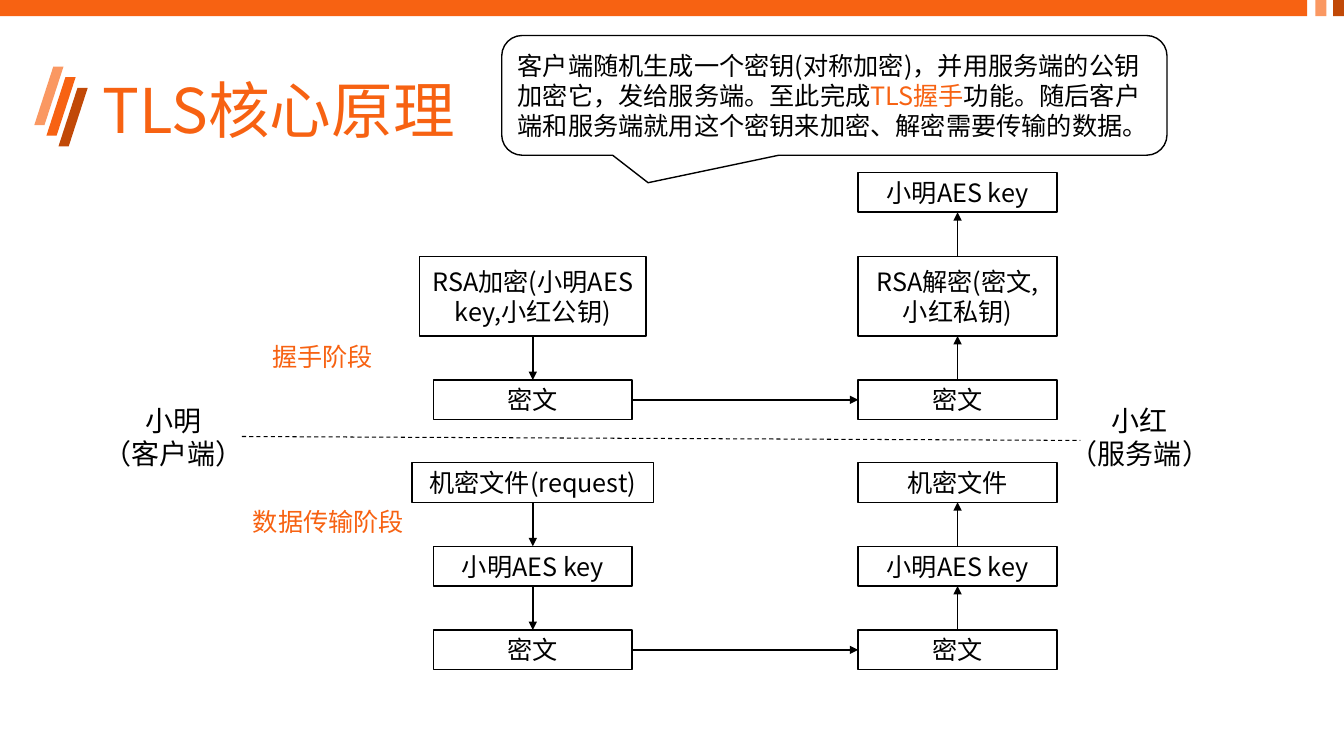
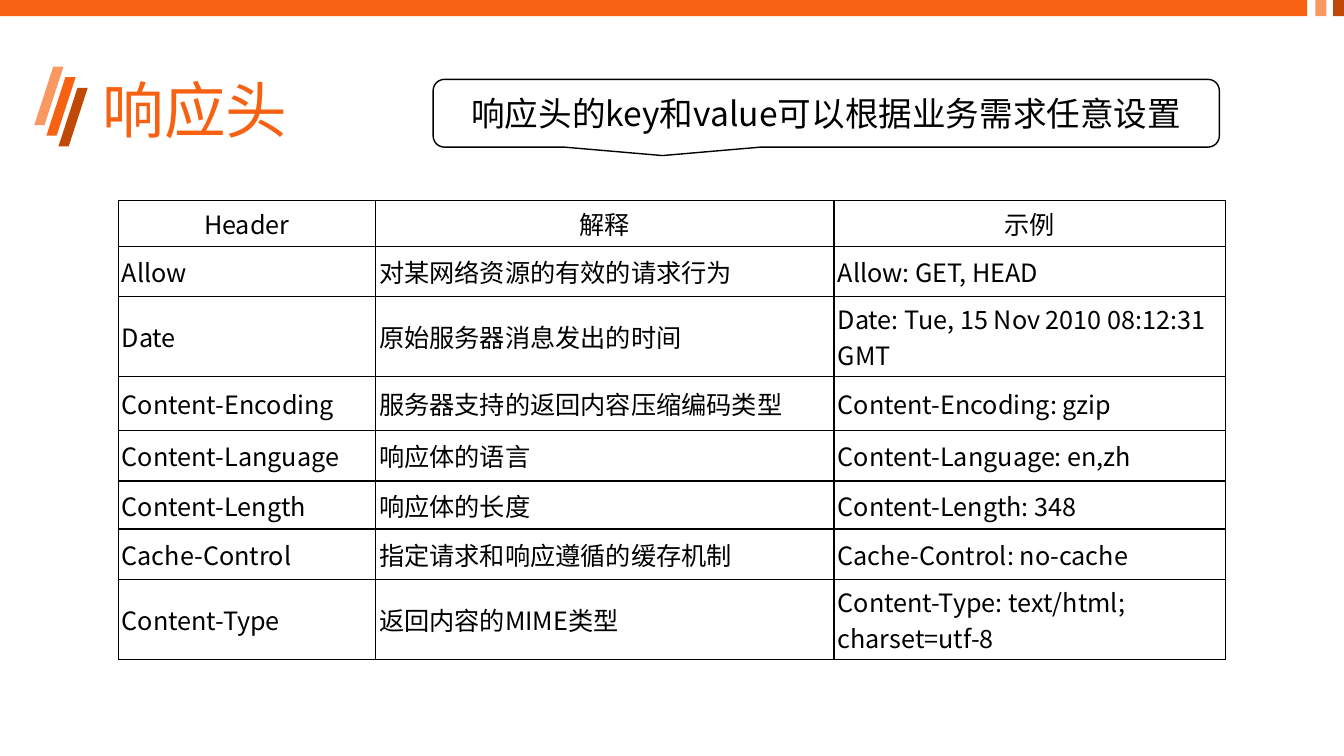
from dataclasses import dataclass
from typing import NamedTuple

from lxml.etree import SubElement
from pptx import Presentation
from pptx.dml.color import RGBColor
from pptx.enum.dml import MSO_LINE
from pptx.enum.shapes import MSO_CONNECTOR, MSO_SHAPE as SHAPE
from pptx.enum.text import MSO_ANCHOR as ANCHOR, PP_ALIGN as ALIGN
from pptx.oxml.ns import qn
from pptx.util import Pt


@dataclass(frozen=True)
class Theme:
    """Colours, font and type sizes of the deck."""
    orange: RGBColor = RGBColor(0xF7, 0x62, 0x12)
    light: RGBColor = RGBColor(0xFA, 0x98, 0x62)
    dark: RGBColor = RGBColor(0xC1, 0x49, 0x07)
    black: RGBColor = RGBColor(0, 0, 0)
    white: RGBColor = RGBColor(0xFF, 0xFF, 0xFF)
    font: str = "Noto Sans CJK SC"
    title: int = 44
    banner: int = 24
    actor: int = 20
    body: int = 18


class Area(NamedTuple):
    """A rectangle in points."""
    left: float
    top: float
    width: float
    height: float

    def lengths(self):
        """Return the four lengths for a python-pptx call."""
        return [Pt(value) for value in self]


THEME = Theme()
PAGE = Area(0, 0, 960, 540)
STEP_WIDTH, STEP_HEIGHT, STEP_GAP = 142, 28.4, 31.4

HEADERS = [
    ("Header", "解释", "示例"),
    ("Allow", "对某网络资源的有效的请求行为", "Allow: GET, HEAD"),
    ("Date", "原始服务器消息发出的时间", "Date: Tue, 15 Nov 2010 08:12:31 GMT"),
    ("Content-Encoding", "服务器支持的返回内容压缩编码类型", "Content-Encoding: gzip"),
    ("Content-Language", "响应体的语言", "Content-Language: en,zh"),
    ("Content-Length", "响应体的长度", "Content-Length: 348"),
    ("Cache-Control", "指定请求和响应遵循的缓存机制", "Cache-Control: no-cache"),
    ("Content-Type", "返回内容的MIME类型", "Content-Type: text/html; charset=utf-8"),
]


def style_text(frame, size, color=THEME.black, align=ALIGN.CENTER, spacing=1.0):
    """Format every run of a text frame."""
    for para in frame.paragraphs:
        para.alignment = align
        para.line_spacing = spacing
        for span in para.runs:
            span.font.size = Pt(size)
            span.font.color.rgb = color
            span.font.name = THEME.font
            SubElement(span._r.get_or_add_rPr(), qn("a:ea"), typeface=THEME.font)


def add_block(page, kind, area, fill=None, line=None):
    """Draw a preset shape with the given fill and outline."""
    block = page.shapes.add_shape(kind, *area.lengths())
    block.shadow.inherit = False
    if fill is None:
        block.fill.background()
    else:
        block.fill.solid()
        block.fill.fore_color.rgb = fill
    if line is None:
        block.line.fill.background()
    else:
        block.line.color.rgb = line
        block.line.width = Pt(1)
    block.text_frame.word_wrap = True
    block.text_frame.vertical_anchor = ANCHOR.MIDDLE
    return block


def add_label(page, area, text, size, color=THEME.black):
    """Place centred free text that does not wrap."""
    frame = page.shapes.add_textbox(*area.lengths()).text_frame
    frame.word_wrap = False
    frame.text = text
    style_text(frame, size, color)


def add_line(page, start=(0, 0), end=(0, 0), width=1):
    """Draw a plain black connector between two points."""
    line = page.shapes.add_connector(
        MSO_CONNECTOR.STRAIGHT, *[Pt(value) for value in (*start, *end)])
    line.line.color.rgb = THEME.black
    line.line.width = Pt(width)
    SubElement(line._element.spPr, qn("a:effectLst"))
    return line


def add_arrow(page, source, source_side, target, target_side):
    """Join two boxes with an arrow."""
    arrow = add_line(page)
    arrow.begin_connect(source, source_side)
    arrow.end_connect(target, target_side)
    SubElement(arrow.line._get_or_add_ln(), qn("a:tailEnd"), type="triangle")


def add_callout(page, area, size, spans, align, adjustments=()):
    """Draw a white speech bubble; every second span is orange."""
    bubble = add_block(page, SHAPE.ROUNDED_RECTANGULAR_CALLOUT, area,
                       THEME.white, THEME.black)
    for index, value in enumerate(adjustments):
        bubble.adjustments[index] = value
    para = bubble.text_frame.paragraphs[0]
    for text in spans:
        para.add_run().text = text
    style_text(bubble.text_frame, size, align=align)
    for span in para.runs[1::2]:
        span.font.color.rgb = THEME.orange


def draw_band(page, area):
    """Draw the band along the top edge."""
    parts = [(0, 933.8, THEME.orange), (939.6, 7.9, THEME.light), (952.3, 7.7, THEME.dark)]
    for offset, width, color in parts:
        part = Area(area.left + offset, area.top, width, area.height)
        add_block(page, SHAPE.RECTANGLE, part, color)


def draw_title(page, area, text):
    """Draw the three slanted bars and the title beside them."""
    for index, color in enumerate((THEME.light, THEME.orange, THEME.dark)):
        bar = Area(area.left + 8.64 * index, area.top + 18.7 + 7.6 * index, 20.9, 41.8)
        add_block(page, SHAPE.PARALLELOGRAM, bar, color).adjustments[0] = 0.65
    words = Area(area.left + 41.8, area.top, area.width - 41.8, area.height)
    frame = page.shapes.add_textbox(*words.lengths()).text_frame
    frame.word_wrap = True
    frame.vertical_anchor = ANCHOR.MIDDLE
    frame.text = text
    style_text(frame, THEME.title, THEME.orange, ALIGN.LEFT, 0.9)


def add_page(deck, title):
    """Add a blank page with the shared band and title."""
    page = deck.slides.add_slide(deck.slide_layouts[6])
    draw_band(page, Area(0, 0, PAGE.width, 11.5))
    draw_title(page, Area(24.5, 28.8, 869.7, 104.4), title)
    return page


def draw_column(page, centre, bottom, steps):
    """Stack step boxes upwards from the bottom and return them."""
    boxes = []
    for text, width, height in steps:
        area = Area(centre - width / 2, bottom - height, width, height)
        box = add_block(page, SHAPE.RECTANGLE, area, line=THEME.black)
        box.text_frame.text = text
        style_text(box.text_frame, THEME.body)
        boxes.append(box)
        bottom -= height + STEP_GAP
    return boxes


def draw_phase(page, area, client_steps, server_steps):
    """Draw a phase: down the client side, across, up the server side."""
    bottom = area.top + area.height
    client = draw_column(page, area.left + 86.4, bottom, client_steps)
    server = draw_column(page, area.left + area.width - STEP_WIDTH / 2, bottom, server_steps)
    for lower, upper in zip(client, client[1:]):
        add_arrow(page, upper, 2, lower, 0)
    for lower, upper in zip(server, server[1:]):
        add_arrow(page, lower, 0, upper, 2)
    add_arrow(page, client[0], 3, server[0], 1)


def draw_table(page, area, rows, widths, heights):
    """Draw a table with thin black borders and a centred first row."""
    table = page.shapes.add_table(len(rows), len(widths), *area.lengths()).table
    table.first_row = table.horz_banding = False
    for column, width in zip(table.columns, widths):
        column.width = Pt(width)
    for index, (row, height, texts) in enumerate(zip(table.rows, heights, rows)):
        row.height = Pt(height)
        inset, align = (2.6, ALIGN.LEFT) if index else (1.5, ALIGN.CENTER)
        for cell, text in zip(row.cells, texts):
            cell.text = text
            style_text(cell.text_frame, THEME.body, align=align)
            cell.vertical_anchor = ANCHOR.MIDDLE
            cell.margin_left = cell.margin_right = Pt(inset)
            cell.margin_top = cell.margin_bottom = Pt(inset)
            add_borders(cell)
            cell.fill.background()


def add_borders(cell):
    """Give a cell a black line on each side."""
    properties = cell._tc.get_or_add_tcPr()
    for side in ("lnL", "lnR", "lnT", "lnB"):
        line = SubElement(properties, qn(f"a:{side}"), w=str(Pt(1)))
        fill = SubElement(line, qn("a:solidFill"))
        SubElement(fill, qn("a:srgbClr"), val=str(THEME.black))


def build_handshake_page(deck):
    """Build the page on the principle of TLS."""
    page = add_page(deck, "TLS核心原理")
    cipher = ("密文", STEP_WIDTH, STEP_HEIGHT)
    key = ("小明AES key", STEP_WIDTH, STEP_HEIGHT)
    draw_phase(
        page, Area(294.2, 123.2, 460.8, 176.6),
        [cipher, ("RSA加密(小明AES key,小红公钥)", 162, 57)],
        [cipher, ("RSA解密(密文,小红私钥)", STEP_WIDTH, 57), key])
    draw_phase(
        page, Area(294.2, 330.4, 460.8, 148),
        [cipher, key, ("机密文件(request)", 172.8, STEP_HEIGHT)],
        [cipher, key, ("机密文件", STEP_WIDTH, STEP_HEIGHT)])
    for left, text in ((66.2, "小明\n（客户端）"), (756.7, "小红\n（服务端）")):
        add_label(page, Area(left, 284.4, 115.2, 55.4), text, THEME.actor)
    for left, top, width, text in ((172.8, 240.5, 115.2, "握手阶段"),
                                   (172.8, 357.8, 123.8, "数据传输阶段")):
        add_label(page, Area(left, top, width, 29), text, THEME.body, THEME.orange)
    divider = add_line(page, (172.8, 311.8), (771.8, 314.6), 0.75)
    divider.line.dash_style = MSO_LINE.DASH
    spans = ["客户端随机生成一个密钥(对称加密)，并用服务端的公钥加密它，发给服务端。至此完成",
             "TLS握手",
             "功能。随后客户端和服务端就用这个密钥来加密、解密需要传输的数据。"]
    add_callout(page, Area(358.4, 25.4, 475.2, 85.5), THEME.body, spans,
                ALIGN.LEFT, (-0.28, 0.73, 0.17))


def build_headers_page(deck):
    """Build the page on response headers."""
    page = add_page(deck, "响应头")
    heights = (33, 35.6, 57.2, 38.6, 36, 34.4, 36, 57.2)
    draw_table(page, Area(84.4, 143.2, 791.1, sum(heights)), HEADERS,
               (183.8, 327.6, 279.7), heights)
    add_callout(page, Area(309.4, 56.7, 561.6, 48.4), THEME.banner,
                ["响应头的key和value可以根据业务需求任意设置"], ALIGN.CENTER)


def main():
    """Build and save the deck."""
    deck = Presentation()
    deck.slide_width, deck.slide_height = Pt(PAGE.width), Pt(PAGE.height)
    build_handshake_page(deck)
    build_headers_page(deck)
    deck.save("out.pptx")


if __name__ == "__main__":
    main()
